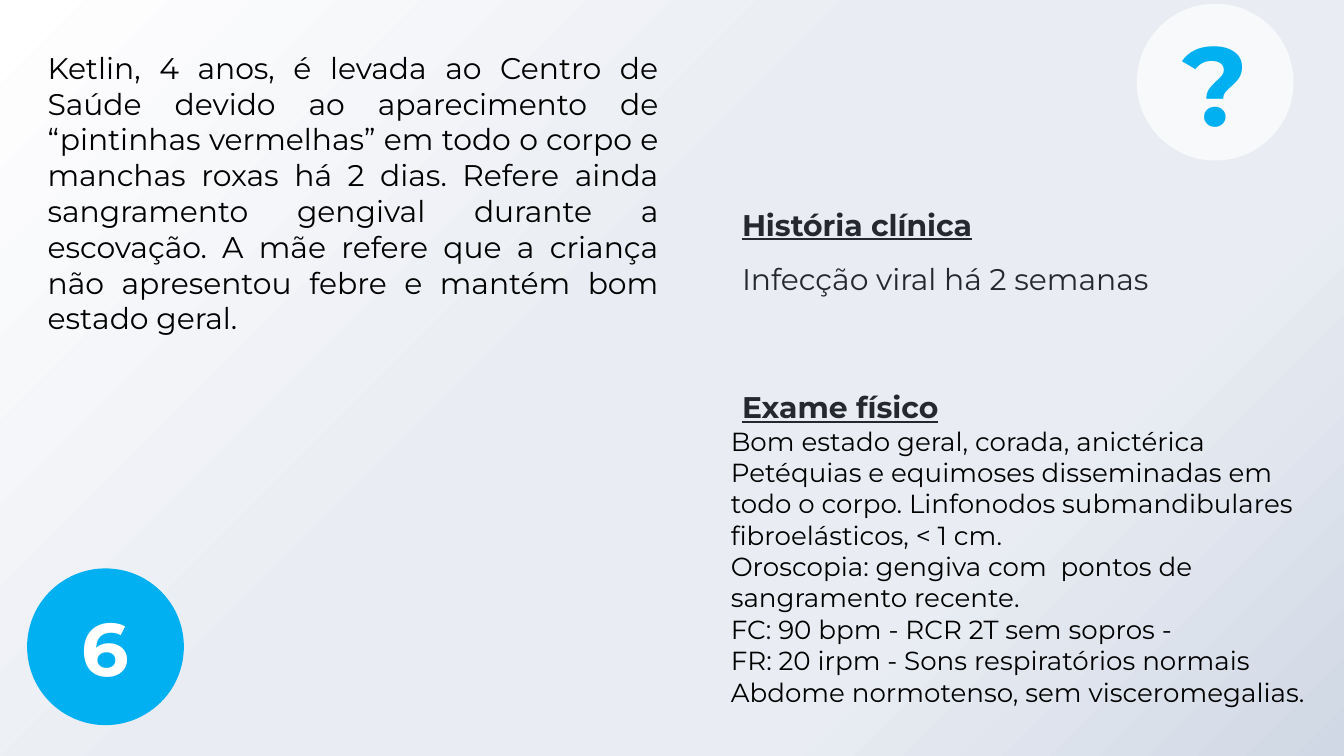
from lxml.etree import SubElement, fromstring
from pptx import Presentation
from pptx.dml.color import RGBColor
from pptx.enum.shapes import MSO_SHAPE
from pptx.enum.text import MSO_ANCHOR, PP_ALIGN
from pptx.oxml.ns import nsdecls, qn
from pptx.util import Pt

COLORS = {
    "white": "FFFFFF",
    "mist": "E9EDF3",
    "steel": "D0D8E5",
    "blue": "00B0F0",
    "ink": "252831",
    "black": "000000",
}


class Deck:
    font = "Montserrat"

    def __init__(self, width, height):
        self.file = Presentation()
        self.file.slide_width = Pt(width)
        self.file.slide_height = Pt(height)
        self.slide = self.file.slides.add_slide(self.file.slide_layouts[6])

    def color(self, name):
        return RGBColor.from_string(COLORS[name])

    def back(self, stops, angle):
        fill = self.slide.background.fill
        fill.gradient()
        fill.gradient_angle = angle
        items = "".join(
            f'<a:gs pos="{spot * 1000}"><a:srgbClr val="{COLORS[name]}"/></a:gs>'
            for spot, name in stops
        )
        fresh = fromstring(f'<a:gsLst {nsdecls("a")}>{items}</a:gsLst>')
        grad = self.slide.background._cSld.find(".//" + qn("a:gradFill"))
        grad.replace(grad.find(qn("a:gsLst")), fresh)

    def style(self, para, size, color, bold=False, line=False):
        font = para.font
        font.name = self.font
        font.size = Pt(size)
        font.bold = bold
        font.underline = line
        font.color.rgb = self.color(color)

    def box(self, left, top, width, height, foot=0):
        shape = self.slide.shapes.add_textbox(
            Pt(left), Pt(top), Pt(width), Pt(height))
        frame = shape.text_frame
        frame.word_wrap = True
        frame.vertical_anchor = MSO_ANCHOR.MIDDLE
        frame.margin_left = frame.margin_right = frame.margin_top = Pt(0)
        frame.margin_bottom = Pt(foot)
        return frame

    def para(self, frame, text, size, color, bold=False, line=False,
             align=PP_ALIGN.LEFT, indent=0, space=1.0, before=0):
        first = frame.paragraphs[0]
        para = frame.add_paragraph() if first.runs else first
        para.add_run().text = text
        para.alignment = align
        para.line_spacing = space
        para.space_before = Pt(before)
        para._p.get_or_add_pPr().set("marL", str(Pt(indent)))
        self.style(para, size, color, bold, line)

    def head(self, frame, text):
        self.para(frame, text, 16, "ink", bold=True, line=True,
                  indent=6, space=1.2)

    def badge(self, left, top, text, size, fill, color, alpha=100):
        shape = self.slide.shapes.add_shape(
            MSO_SHAPE.OVAL, Pt(left), Pt(top), Pt(84), Pt(84))
        shape.shadow.inherit = False
        shape.line.fill.background()
        shape.fill.solid()
        shape.fill.fore_color.rgb = self.color(fill)
        if alpha < 100:
            tone = shape._element.spPr.find(".//" + qn("a:srgbClr"))
            SubElement(tone, qn("a:alpha")).set("val", str(alpha * 1000))
        frame = shape.text_frame
        frame.vertical_anchor = MSO_ANCHOR.MIDDLE
        self.para(frame, text, size, color, bold=True, align=PP_ALIGN.CENTER)


def main():
    deck = Deck(720, 405)
    deck.back([(0, "white"), (44, "mist"), (72, "mist"), (100, "steel")], -45)

    case = deck.box(25.5, 13.5, 327.5, 196.5, foot=17)
    deck.para(
        case,
        "Ketlin, 4 anos, é levada ao Centro de Saúde devido ao aparecimento "
        "de “pintinhas vermelhas” em todo o corpo e manchas roxas há 2 dias. "
        "Refere ainda sangramento gengival durante a escovação. A mãe refere "
        "que a criança não apresentou febre e mantém bom estado geral.",
        16, "black", align=PP_ALIGN.JUSTIFY)

    past = deck.box(391.5, 103.5, 317.5, 58.5)
    deck.head(past, "História clínica")
    deck.para(past, "Infecção viral há 2 semanas", 16, "ink",
              indent=6, space=1.2, before=6)

    exam = deck.box(391.5, 238.5, 317.5, 106.5)
    deck.head(exam, "Exame físico")
    for text in (
        "Bom estado geral, corada, anictérica Petéquias e equimoses "
        "disseminadas em todo o corpo. Linfonodos submandibulares "
        "fibroelásticos, < 1 cm.",
        "Oroscopia: gengiva com  pontos de sangramento recente.",
        "FC: 90 bpm - RCR 2T sem sopros -",
        "FR: 20 irpm - Sons respiratórios normais",
        "Abdome normotenso, sem visceromegalias.",
    ):
        deck.para(exam, text, 14, "black")

    deck.badge(14.5, 304.5, "6", 40, "blue", "white")
    deck.badge(609, 2, "?", 60, "white", "blue", alpha=69)

    deck.file.save("out.pptx")


if __name__ == "__main__":
    main()
